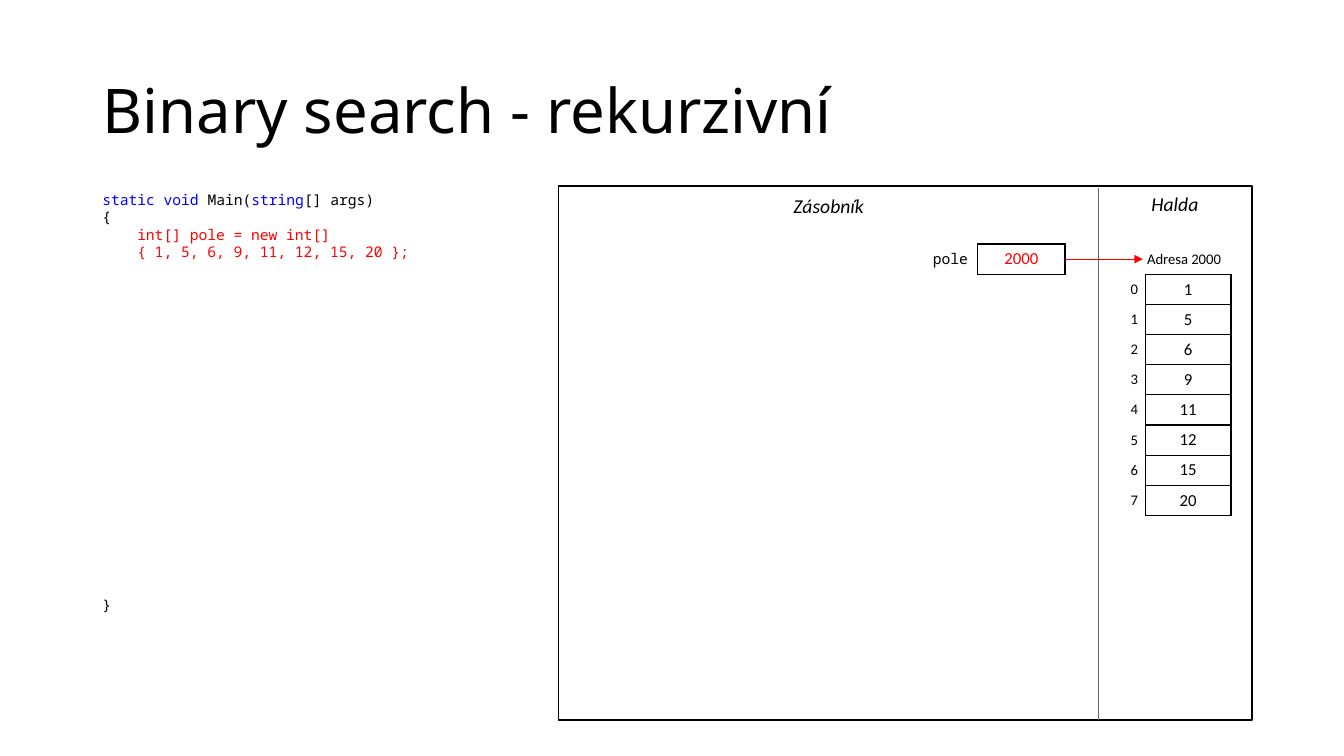
from lxml.etree import SubElement
from pptx import Presentation
from pptx.dml.color import RGBColor
from pptx.enum.shapes import MSO_CONNECTOR as CONNECTOR, MSO_SHAPE as SHAPE
from pptx.enum.text import MSO_ANCHOR as ANCHOR, PP_ALIGN as ALIGN
from pptx.oxml.ns import qn
from pptx.util import Cm, Pt

COLORS = {"text": "000000", "paper": "FFFFFF", "keyword": "0000FF",
          "active": "FF0000", "divider": "666666"}
TITLE_FONT = {"name": "Noto Sans", "size": Pt(44)}
CODE_FONT = {"name": "Noto Sans Mono", "size": Pt(10.5)}
HEADING_FONT = {"name": "Calibri", "size": Pt(14), "italic": True}
LABEL_FONT = {"name": "Calibri", "size": Pt(10.5)}
VALUE_FONT = {"name": "Calibri", "size": Pt(12)}
NO_STYLE = "{2D5ABB26-0587-4C30-8999-92F81FD0307C}"

ARRAY = [1, 5, 6, 9, 11, 12, 15, 20]
ROW = 0.76
LINE_PITCH = 12.4
CODE = [
    (0, 0, [("static void", "keyword"), (" Main(", "text"),
            ("string", "keyword"), ("[] args)", "text")]),
    (0, 0, [("{", "text")]),
    (0.88, 0, [("int[] pole = new int[]", "active")]),
    (0.88, 0, [("{ 1, 5, 6, 9, 11, 12, 15, 20 };", "active")]),
    (0, 240, [("}", "text")]),
]


def rgb(name):
    return RGBColor.from_string(COLORS[name])


def apply(target, values):
    for key, value in values.items():
        setattr(target, key, value)


def add_run(p, text, font, color="text"):
    r = p.add_run()
    r.text = text
    apply(r.font, font)
    r.font.color.rgb = rgb(color)


def set_title(slide, text):
    sp = slide.shapes.title
    apply(sp, {"left": Cm(2.33), "top": Cm(1.01),
               "width": Cm(29.21), "height": Cm(3.68)})
    sp.text_frame.vertical_anchor = ANCHOR.MIDDLE
    p = sp.text_frame.paragraphs[0]
    apply(p, {"alignment": ALIGN.LEFT, "line_spacing": 0.9})
    add_run(p, text, TITLE_FONT)


def add_textbox(slide, x, y, w, h):
    tf = slide.shapes.add_textbox(Cm(x), Cm(y), Cm(w), Cm(h)).text_frame
    tf.word_wrap = True
    return tf


def add_code(slide):
    tf = add_textbox(slide, 2.33, 4.69, 11.74, 11.02)
    for i, (indent, gap, runs) in enumerate(CODE):
        p = tf.add_paragraph() if i else tf.paragraphs[0]
        apply(p, {"line_spacing": Pt(LINE_PITCH), "space_before": Pt(gap)})
        p._p.get_or_add_pPr().set("marL", str(Cm(indent)))
        for text, color in runs:
            add_run(p, text, CODE_FONT, color)


def add_heading(slide, text, x, y, w):
    p = add_textbox(slide, x, y, w, 0.86).paragraphs[0]
    p.alignment = ALIGN.CENTER
    add_run(p, text, HEADING_FONT)


def add_frame(slide, x, y, w, h):
    sp = slide.shapes.add_shape(SHAPE.RECTANGLE, Cm(x), Cm(y), Cm(w), Cm(h))
    sp.shadow.inherit = False
    sp.fill.solid()
    sp.fill.fore_color.rgb = rgb("paper")
    sp.line.color.rgb = rgb("text")
    sp.line.width = Pt(1)


def add_line(slide, x1, y1, x2, y2, color, arrow=False):
    cx = slide.shapes.add_connector(CONNECTOR.STRAIGHT, Cm(x1), Cm(y1), Cm(x2), Cm(y2))
    cx.line.color.rgb = rgb(color)
    cx.line.width = Pt(0.5)
    if arrow:
        SubElement(cx.line._get_or_add_ln(), qn("a:tailEnd"), type="triangle")
    SubElement(cx._element.spPr, qn("a:effectLst"))


def add_borders(cell):
    tcPr = cell._tc.get_or_add_tcPr()
    for side in ("lnL", "lnR", "lnT", "lnB"):
        ln = SubElement(tcPr, qn(f"a:{side}"), w=str(Pt(1)))
        fill = SubElement(ln, qn("a:solidFill"))
        SubElement(fill, qn("a:srgbClr"), val=COLORS["text"])


def add_table(slide, x, y, widths, rows):
    shape = slide.shapes.add_table(rows, len(widths), Cm(x), Cm(y),
                                   Cm(sum(widths)), Cm(ROW * rows))
    table = shape.table
    apply(table, {"first_row": False, "horz_banding": False})
    table._tbl.tblPr.find(qn("a:tableStyleId")).text = NO_STYLE
    for column, width in zip(table.columns, widths):
        column.width = Cm(width)
    for row in table.rows:
        row.height = Cm(ROW)
    return table


def fill_cell(cell, text, font, align, color="text", boxed=False, right=0.25):
    if boxed:
        add_borders(cell)
    cell.fill.background()
    apply(cell, {"vertical_anchor": ANCHOR.MIDDLE, "margin_left": Cm(0),
                 "margin_right": Cm(0 if boxed else right),
                 "margin_top": Cm(0.05), "margin_bottom": Cm(0.05)})
    p = cell.text_frame.paragraphs[0]
    p.alignment = align
    add_run(p, text, font, color)


def add_stack_variable(slide):
    table = add_table(slide, 21.24, 6.15, [3.4, 2.2], 1)
    fill_cell(table.cell(0, 0), "pole", CODE_FONT, ALIGN.RIGHT)
    fill_cell(table.cell(0, 1), "2000", VALUE_FONT, ALIGN.CENTER, "active", True)


def add_heap_array(slide):
    table = add_table(slide, 28.23, 6.15, [0.63, 2.16], len(ARRAY) + 1)
    table.cell(0, 0).merge(table.cell(0, 1))
    fill_cell(table.cell(0, 0), "Adresa 2000", LABEL_FONT, ALIGN.RIGHT)
    for i, value in enumerate(ARRAY):
        fill_cell(table.cell(i + 1, 0), str(i), LABEL_FONT, ALIGN.RIGHT, right=0.18)
        fill_cell(table.cell(i + 1, 1), str(value), VALUE_FONT, ALIGN.CENTER, boxed=True)


def main():
    prs = Presentation()
    apply(prs, {"slide_width": Cm(33.87), "slide_height": Cm(19.05)})
    s = prs.slides.add_slide(prs.slide_layouts[5])
    set_title(s, "Binary search - rekurzivní")
    add_code(s)
    add_frame(s, 14.08, 4.69, 17.47, 13.45)
    add_line(s, 27.69, 18.14, 27.69, 4.74, "divider")
    add_heading(s, "Zásobník", 14.08, 4.76, 13.61)
    add_heading(s, "Halda", 27.69, 4.72, 3.84)
    add_stack_variable(s)
    add_heap_array(s)
    add_line(s, 26.83, 6.53, 28.8, 6.53, "active", arrow=True)
    prs.save("out.pptx")


if __name__ == "__main__":
    main()
